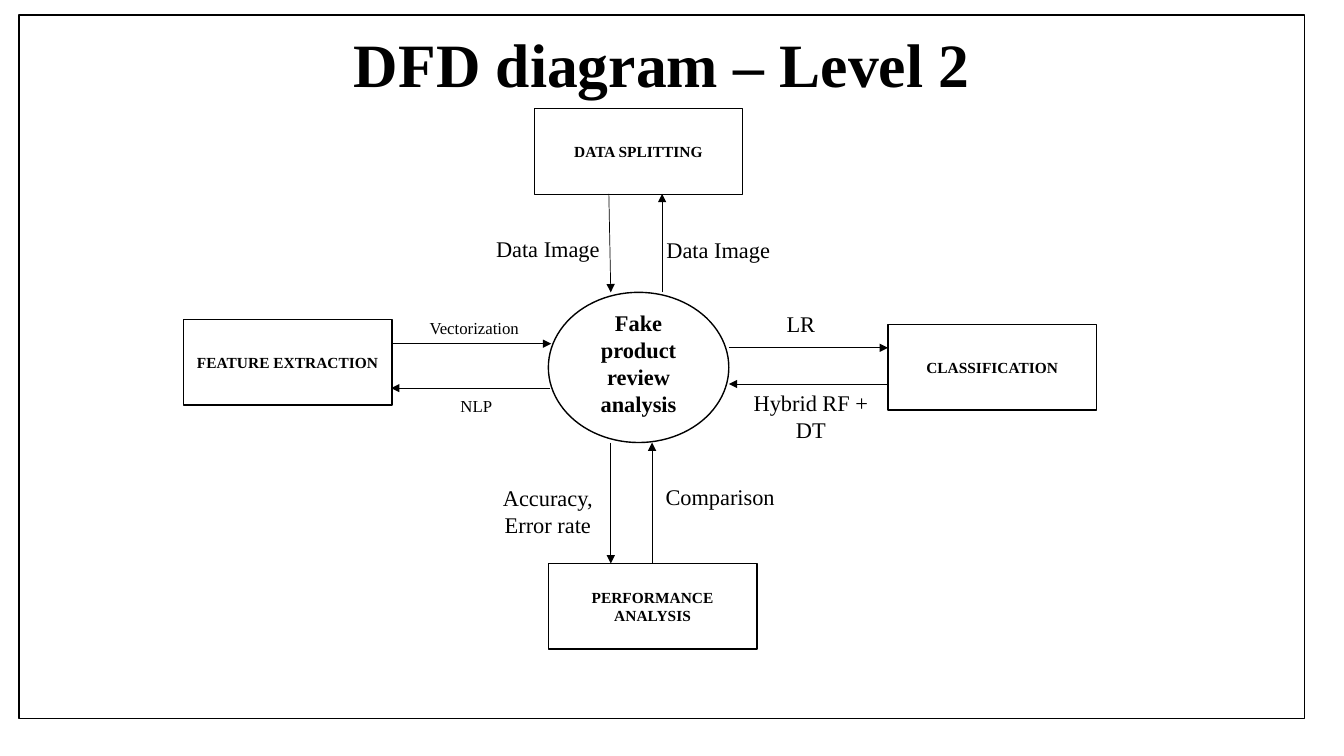
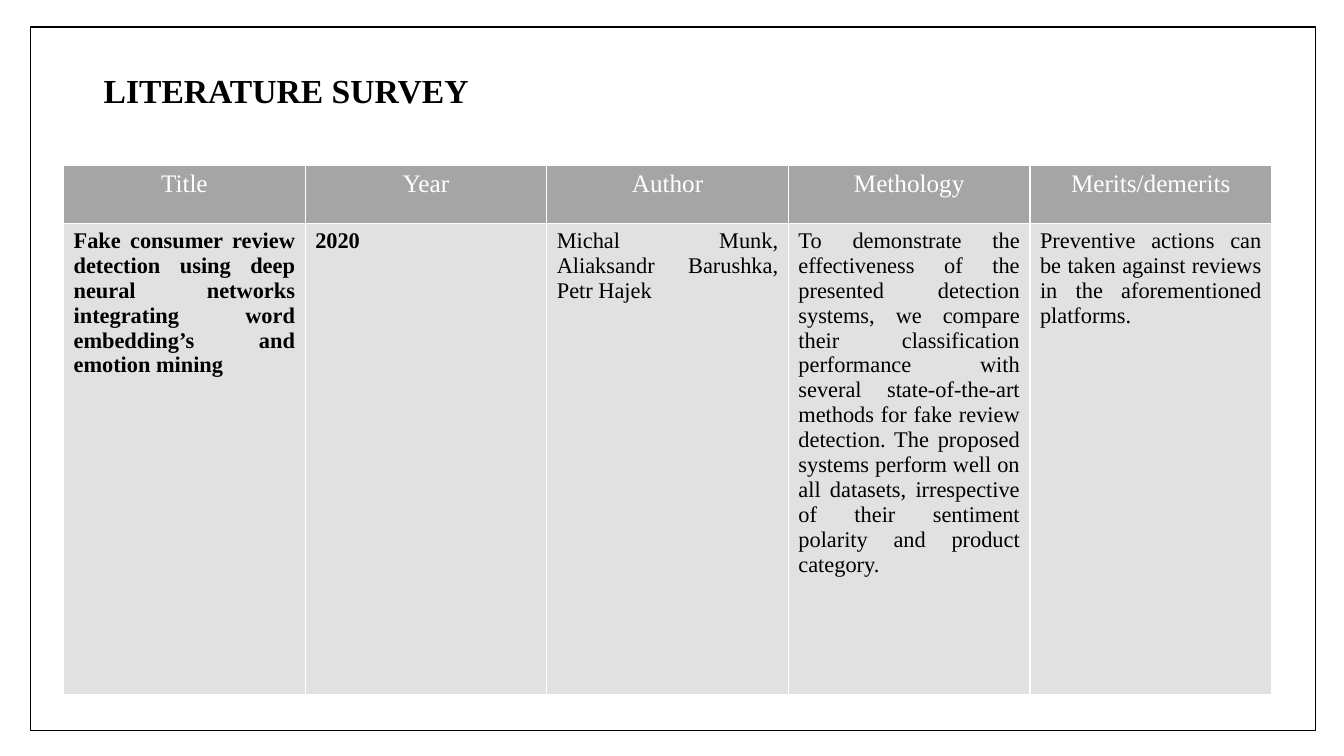
from pptx import Presentation
from pptx.dml.color import RGBColor
from pptx.enum.shapes import MSO_CONNECTOR, MSO_SHAPE
from pptx.enum.text import MSO_ANCHOR, MSO_AUTO_SIZE, PP_ALIGN
from pptx.oxml.ns import qn
from pptx.util import Pt
from lxml import etree

RECTANGLE, ELLIPSE = MSO_SHAPE.RECTANGLE, MSO_SHAPE.OVAL
STRAIGHT = MSO_CONNECTOR.STRAIGHT
MIDDLE, TOP = MSO_ANCHOR.MIDDLE, MSO_ANCHOR.TOP
GROW = MSO_AUTO_SIZE.SHAPE_TO_FIT_TEXT
LEFT, CENTER, JUSTIFY = PP_ALIGN.LEFT, PP_ALIGN.CENTER, PP_ALIGN.JUSTIFY

COLORS = {"ink": "000000", "paper": "FFFFFF", "header": "A5A5A5", "body": "E1E1E1"}
FONT = "Times New Roman"

NODE_SIZE = (149, 61.2)
NODES = [
    ("DATA SPLITTING", 381.6, 77.6),
    ("FEATURE EXTRACTION", 131, 228.2),
    ("CLASSIFICATION", 634.3, 231.8),
    ("PERFORMANCE ANALYSIS", 391.7, 402.5),
]
HUB = (391.7, 208.8, 128.9, 107.3)
ARROWS = [
    (434.9, 138.5, 436.3, 208.8),
    (473, 208.8, 473, 138.5),
    (280.1, 245.5, 393.8, 245.5),
    (393.1, 277.2, 279.4, 277.2),
    (520.6, 248.4, 634.3, 248.4),
    (634.3, 274.3, 520.6, 274.3),
    (436.3, 316.1, 436.3, 402.5),
    (465.8, 402.5, 465.8, 316.1),
]
LABEL_WIDTH = 104.4
LABELS = [
    (["Data Image"], 339.1, 164.2, 16, False),
    (["Data Image"], 460.8, 164.9, 16, False),
    (["Vectorization"], 286.6, 223.2, 12, False),
    (["NLP"], 288, 279.4, 12, False),
    (["LR"], 519.8, 218.2, 16, False),
    (["Hybrid RF + DT"], 527, 274.3, 16, False),
    (["Accuracy,", "Error rate"], 339.1, 342, 16, False),
    (["Comparison"], 462.2, 341.3, 16, False),
    (["Fake product review analysis"], 403.9, 217.4, 16, True),
]
HEADINGS = ["Title", "Year", "Author", "Methology", "Merits/demerits"]
SURVEY = [
    "Fake consumer review detection using deep neural networks integrating word "
    "embedding’s and emotion mining",
    "2020",
    "Michal Munk, Aliaksandr Barushka, Petr Hajek",
    "To demonstrate the effectiveness of the presented detection systems, we compare "
    "their classification performance with several state-of-the-art methods for fake "
    "review detection. The proposed systems perform well on all datasets, irrespective "
    "of their sentiment polarity and product category.",
    "Preventive actions can be taken against reviews in the aforementioned platforms.",
]
BOLD_COLUMNS = 2


def color(name):
    return RGBColor.from_string(COLORS[name])


class Sketch:
    def __init__(self):
        self.deck = Presentation()
        self.deck.slide_width, self.deck.slide_height = Pt(960), Pt(540)
        self.page = None

    def new_page(self):
        self.page = self.deck.slides.add_slide(self.deck.slide_layouts[6])

    def add_lines(self, frame, lines, size, bold=False, align=CENTER, ink="ink", spacing=None):
        for index, line in enumerate(lines):
            para = frame.add_paragraph() if index else frame.paragraphs[0]
            para.alignment = align
            if spacing:
                para.line_spacing = spacing
            span = para.add_run()
            span.text = line
            span.font.name = FONT
            span.font.size = Pt(size)
            span.font.bold = bold
            span.font.color.rgb = color(ink)

    def text(self, lines, left, top, width, height, size, bold=False,
             align=CENTER, anchor=TOP, spacing=None):
        box = self.page.shapes.add_textbox(Pt(left), Pt(top), Pt(width), Pt(height))
        frame = box.text_frame
        frame.word_wrap = True
        frame.vertical_anchor = anchor
        self.add_lines(frame, lines, size, bold, align, spacing=spacing)
        return frame

    def title(self, words, left, top, height, size, align):
        self.text([words], left, top, 828, height, size, True, align, MIDDLE, 0.9)

    def label(self, lines, left, top, size, bold):
        frame = self.text(lines, left, top, LABEL_WIDTH, 1.2 * size * len(lines) + 7.2, size, bold)
        frame.auto_size = GROW

    def outline(self, kind, left, top, width, height, fill=None):
        shape = self.page.shapes.add_shape(kind, Pt(left), Pt(top), Pt(width), Pt(height))
        shape.shadow.inherit = False
        if fill:
            shape.fill.solid()
            shape.fill.fore_color.rgb = color(fill)
        else:
            shape.fill.background()
        shape.line.color.rgb = color("ink")
        shape.line.width = Pt(1)
        return shape

    def border(self, left, top):
        self.outline(RECTANGLE, left, top, 918, 502.6)

    def node(self, words, left, top):
        shape = self.outline(RECTANGLE, left, top, *NODE_SIZE, fill="paper")
        shape.text_frame.word_wrap = True
        shape.text_frame.vertical_anchor = MIDDLE
        self.add_lines(shape.text_frame, [words], 11, True)

    def arrow(self, *ends):
        line = self.page.shapes.add_connector(STRAIGHT, *map(Pt, ends))
        line.line.color.rgb = color("ink")
        line.line.width = Pt(0.5)
        properties = line._element.spPr
        etree.SubElement(properties.find(qn("a:ln")), qn("a:tailEnd"), type="triangle")
        etree.SubElement(properties, qn("a:effectLst"))

    def cell(self, cell, words, size, bold, align, ink, fill):
        properties = cell._tc.get_or_add_tcPr()
        for side in ("L", "R", "T", "B"):
            edge = etree.SubElement(properties, qn(f"a:ln{side}"), w=str(Pt(1)))
            paint = etree.SubElement(edge, qn("a:solidFill"))
            etree.SubElement(paint, qn("a:srgbClr"), val=COLORS["paper"])
        cell.fill.solid()
        cell.fill.fore_color.rgb = color(fill)
        self.add_lines(cell.text_frame, [words], size, bold, align, ink)

    def table(self, headings, entries, left, top, width, row_heights):
        holder = self.page.shapes.add_table(
            len(row_heights), len(headings), Pt(left), Pt(top), Pt(width), Pt(sum(row_heights)))
        table = holder.table
        table.first_row = table.horz_banding = False
        for row, height in zip(table.rows, row_heights):
            row.height = Pt(height)
        for index, (heading, entry) in enumerate(zip(headings, entries)):
            table.columns[index].width = Pt(width / len(headings))
            self.cell(table.cell(0, index), heading, 18, False, CENTER, "paper", "header")
            self.cell(table.cell(1, index), entry, 16, index < BOLD_COLUMNS,
                      JUSTIFY, "ink", "body")


def draw_diagram(sketch):
    sketch.new_page()
    sketch.border(13.7, 10.8)
    sketch.title("DFD diagram – Level 2", 59, 10.1, 75.6, 44, CENTER)
    sketch.outline(ELLIPSE, *HUB)
    for node in NODES:
        sketch.node(*node)
    for arrow in ARROWS:
        sketch.arrow(*arrow)
    for label in LABELS:
        sketch.label(*label)


def draw_survey(sketch):
    sketch.new_page()
    sketch.title("LITERATURE SURVEY", 67, 13.7, 104.4, 24, LEFT)
    sketch.table(HEADINGS, SURVEY, 45.4, 118.1, 863, (41.6, 336.4))
    sketch.border(21.6, 19.4)


def main():
    sketch = Sketch()
    draw_diagram(sketch)
    draw_survey(sketch)
    sketch.deck.save("out.pptx")


if __name__ == "__main__":
    main()
